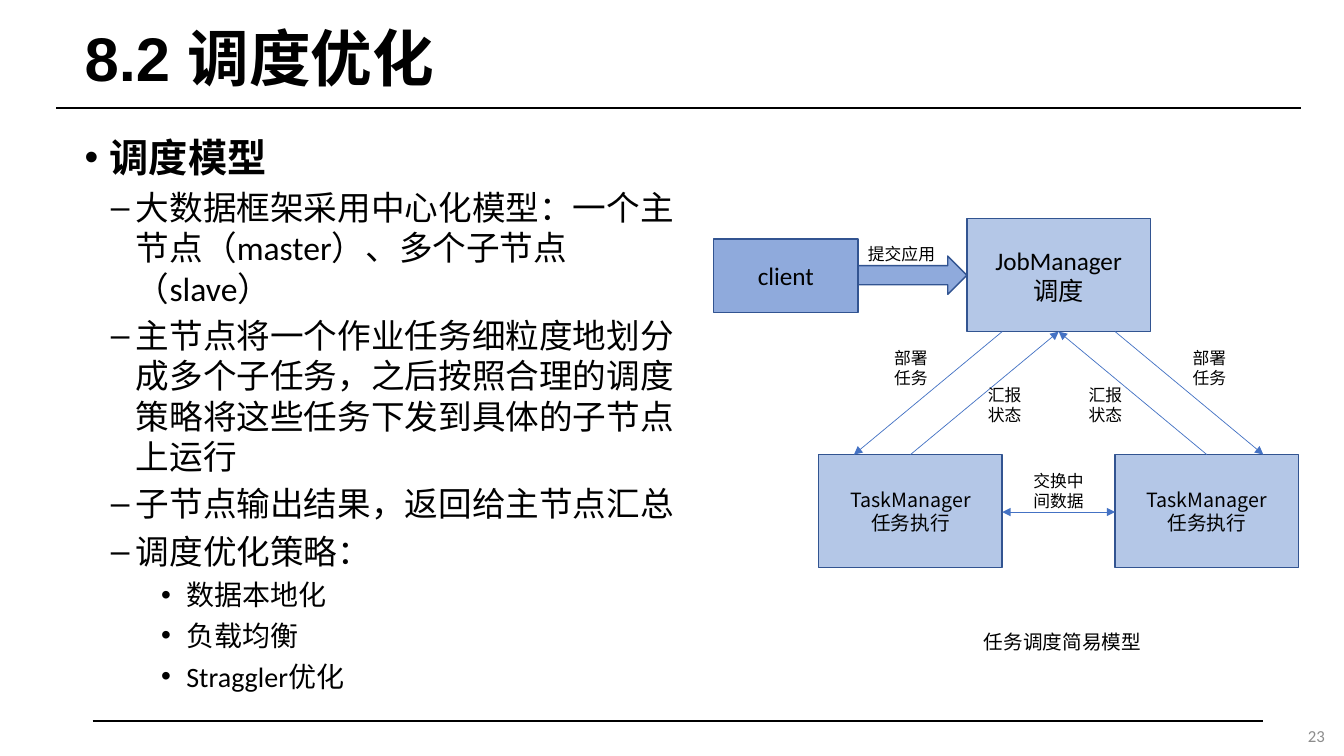
import pptx
import pptx.util
import pptx.dml.color
import pptx.enum.shapes
import pptx.enum.text
import pptx.oxml
import pptx.oxml.ns
from pptx.util import Inches

BLACK = pptx.dml.color.RGBColor(0x00, 0x00, 0x00)
GREY = pptx.dml.color.RGBColor(0x8C, 0x8C, 0x8C)
MID_BLUE = pptx.dml.color.RGBColor(0x8F, 0xAA, 0xDC)
LIGHT_BLUE = pptx.dml.color.RGBColor(0xB4, 0xC7, 0xE7)
OUTLINE = pptx.dml.color.RGBColor(0x32, 0x54, 0x91)
ARROW = pptx.dml.color.RGBColor(0x44, 0x72, 0xC4)
CJK = "Noto Sans CJK SC"
SHAPE = pptx.enum.shapes.MSO_SHAPE
ALIGN = pptx.enum.text.PP_ALIGN
ANCHOR = pptx.enum.text.MSO_ANCHOR

prs = pptx.Presentation()
prs.slide_width, prs.slide_height = Inches(13.33), Inches(7.5)
s = prs.slides.add_slide(prs.slide_layouts[6])


def write(sp, text, size, font, color=BLACK, bold=False, align=ALIGN.LEFT,
          anchor=ANCHOR.TOP, wrap=True):
    tf = sp.text_frame
    tf.text = text
    tf.word_wrap = wrap
    tf.vertical_anchor = anchor
    for p in tf.paragraphs:
        p.alignment = align
        for r in p.runs:
            r.font.size = pptx.util.Pt(size)
            r.font.name = font
            r.font.bold = bold
            r.font.color.rgb = color
            ea = pptx.oxml.parse_xml(
                f'<a:ea {pptx.oxml.ns.nsdecls("a")} typeface="{CJK}"/>')
            r.font._element.find(pptx.oxml.ns.qn("a:latin")).addnext(ea)
    return tf


def connect(x1, y1, x2, y2, color, width, ends=()):
    c = s.shapes.add_connector(
        pptx.enum.shapes.MSO_CONNECTOR.STRAIGHT,
        Inches(x1), Inches(y1), Inches(x2), Inches(y2))
    c.line.color.rgb = color
    c.line.width = pptx.util.Pt(width)
    for end in ends:
        c.line._get_or_add_ln().append(pptx.oxml.parse_xml(
            f'<a:{end} {pptx.oxml.ns.nsdecls("a")} type="triangle"/>'))
    c._element.spPr.append(pptx.oxml.parse_xml(
        f'<a:effectLst {pptx.oxml.ns.nsdecls("a")}/>'))


connect(0.56, 1.07, 12.9, 1.07, BLACK, 1.75)
connect(0.92, 7.15, 12.53, 7.15, BLACK, 1.25)

title = s.shapes.add_textbox(Inches(0.74), Inches(0.15), Inches(11.95), Inches(0.92))
tf = write(title, "8.2 调度优化", 44, "Arial", bold=True, anchor=ANCHOR.MIDDLE)
tf.paragraphs[0].line_spacing = 0.9

outline = [
    (0, "调度模型"),
    (1, "大数据框架采用中心化模型：一个主节点（master）、多个子节点（slave）"),
    (1, "主节点将一个作业任务细粒度地划分成多个子任务，之后按照合理的调度策略将这些任务下发到具体的子节点上运行"),
    (1, "子节点输出结果，返回给主节点汇总"),
    (1, "调度优化策略："),
    (2, "数据本地化"),
    (2, "负载均衡"),
    (2, "Straggler优化"),
]
levels = [(28, 0.25, 10, "•"), (24, 0.51, 5, "–"), (20, 1.01, 5, "•")]
body = s.shapes.add_textbox(Inches(0.74), Inches(1.27), Inches(6.18), Inches(5.49))
tf = write(body, "\n".join(text for level, text in outline), 24, "Calibri")
for p, (level, text) in zip(tf.paragraphs, outline):
    size, indent, before, bullet = levels[level]
    p.level = level
    p.space_before = pptx.util.Pt(before)
    p.runs[0].font.size = pptx.util.Pt(size)
    p.runs[0].font.bold = level == 0
    pPr = p._p.get_or_add_pPr()
    pPr.set("marL", str(Inches(indent)))
    pPr.set("indent", str(Inches(-0.25)))
    for xml in ('buFont {} typeface="Arial"', 'buChar {} char="' + bullet + '"'):
        pPr.append(pptx.oxml.parse_xml(
            f'<a:{xml.format(pptx.oxml.ns.nsdecls("a"))}/>'))

nodes = [
    (SHAPE.RIGHT_ARROW, 8.51, 2.54, 1.08, 0.38, MID_BLUE, "", 18, "Calibri"),
    (SHAPE.RECTANGLE, 7.08, 2.37, 1.43, 0.73, MID_BLUE, "client", 18, "Calibri"),
    (SHAPE.RECTANGLE, 9.59, 2.17, 1.82, 1.12, LIGHT_BLUE, "JobManager\n调度", 18, "Calibri"),
]
for x in (8.12, 11.06):
    nodes.append((SHAPE.RECTANGLE, x, 4.51, 1.82, 1.12, LIGHT_BLUE,
                  "TaskManager\n任务执行", 14, CJK))
for kind, x, y, w, h, fill, text, size, font in nodes:
    sp = s.shapes.add_shape(kind, Inches(x), Inches(y), Inches(w), Inches(h))
    sp.shadow.inherit = False
    sp.fill.solid()
    sp.fill.fore_color.rgb = fill
    sp.line.color.rgb = OUTLINE
    sp.line.width = pptx.util.Pt(1)
    if text:
        write(sp, text, size, font, align=ALIGN.CENTER, anchor=ANCHOR.MIDDLE)

connect(9.94, 5.08, 11.06, 5.08, ARROW, 0.5, ("headEnd", "tailEnd"))
center = 10.5
for side in (-1, 1):
    connect(center + side * 1.47, 4.51, center, 3.29, ARROW, 0.5, ("tailEnd",))
    connect(center + side * 2.03, 4.51, center + side * 0.56, 3.29, ARROW, 0.5, ("headEnd",))

labels = [
    (8.51, 2.37, 0.87, 0.3, "提交应用", 12),
    (8.77, 3.4, 0.53, 0.5, "部署\n任务", 12),
    (9.7, 3.77, 0.53, 0.5, "汇报\n状态", 12),
    (10.7, 3.77, 0.53, 0.5, "汇报\n状态", 12),
    (11.73, 3.4, 0.53, 0.5, "部署\n任务", 12),
    (10.15, 4.62, 0.7, 0.5, "交换中\n间数据", 12),
    (9.66, 6.2, 1.77, 0.34, "任务调度简易模型", 14),
]
for x, y, w, h, text, size in labels:
    tb = s.shapes.add_textbox(Inches(x), Inches(y), Inches(w), Inches(h))
    write(tb, text, size, CJK, wrap=False)

number = s.shapes.add_textbox(Inches(10.24), Inches(7.1), Inches(3), Inches(0.4))
write(number, "23", 12, "Calibri", GREY, align=ALIGN.RIGHT, anchor=ANCHOR.MIDDLE)

prs.save("out.pptx")
